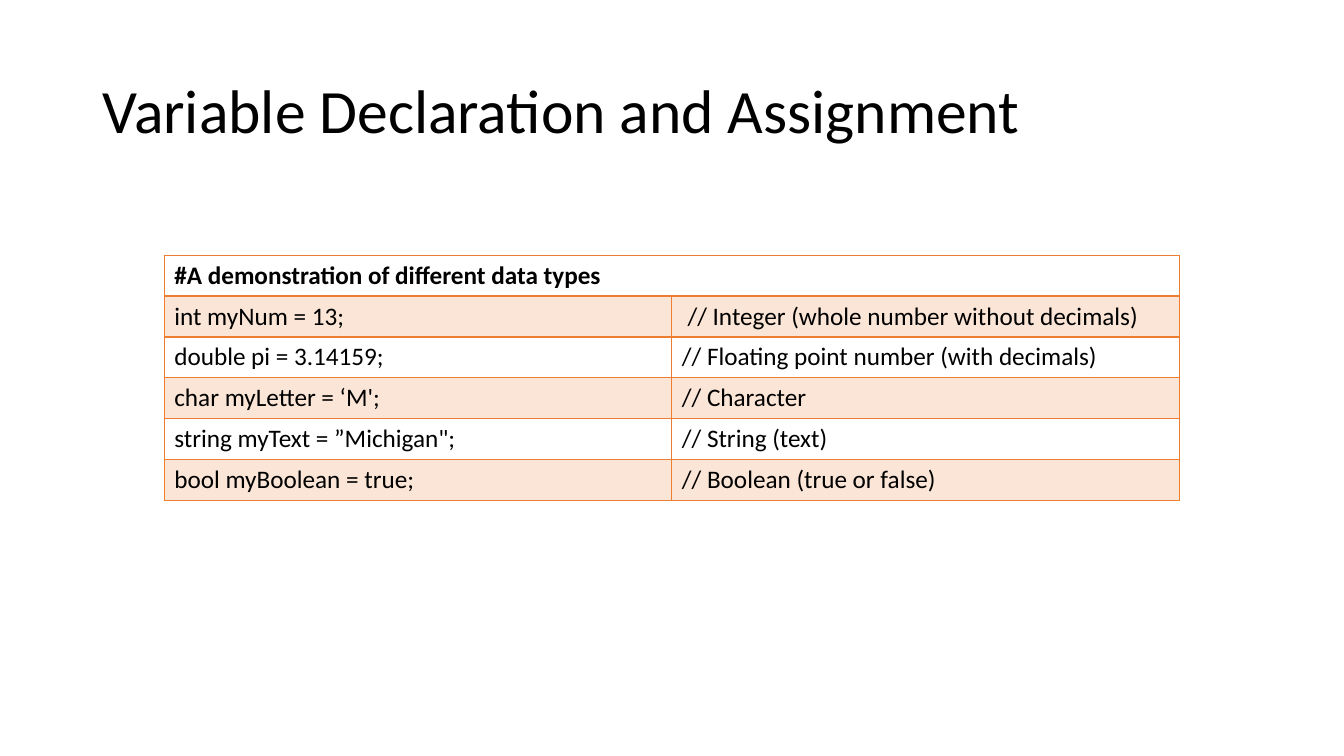
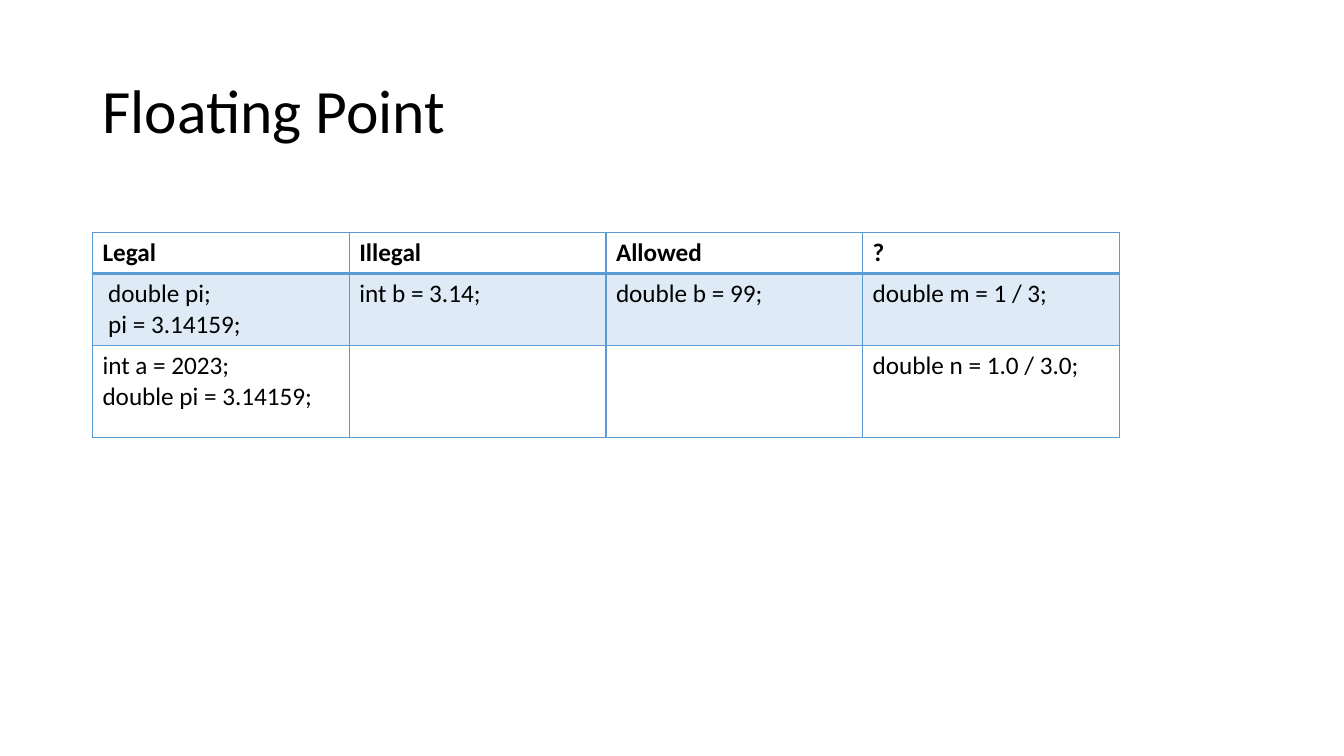
import dataclasses

import pptx
import pptx.dml.color
import pptx.enum.text
import pptx.oxml
import pptx.oxml.ns
import pptx.util

Cm = pptx.util.Cm
Pt = pptx.util.Pt

COLORS = {
    "text": "000000",
    "orange": "ED7D31",
    "orange_band": "FBE5D6",
    "blue": "5B9BD5",
    "blue_band": "DEEBF7",
}
TITLE_ONLY = 5
TITLE_BOX = {"left": Cm(2.33), "top": Cm(1.01), "width": Cm(29.21), "height": Cm(3.68)}
TITLE_FRAME = {
    "vertical_anchor": pptx.enum.text.MSO_ANCHOR.MIDDLE,
    "auto_size": pptx.enum.text.MSO_AUTO_SIZE.NONE,
    "word_wrap": True,
}
TITLE_PARAGRAPH = {"alignment": pptx.enum.text.PP_ALIGN.LEFT, "line_spacing": 0.9}
TITLE_FONT = {"name": "Calibri", "size": Pt(44), "bold": False}
CELL_FONT = {"name": "Calibri", "size": Pt(18)}


@dataclasses.dataclass
class CodeTable:
    title: str
    accent: str
    left: float
    top: float
    col_width: float
    row_heights: list[float]
    rows: list[list[str]]
    merge_header: bool = False


SLIDES = [
    CodeTable(
        "Variable Declaration and Assignment", "orange",
        4.14, 6.43, 12.79, [1.03] * 6,
        [
            ["#A demonstration of different data types", ""],
            ["int myNum = 13;", " // Integer (whole number without decimals)"],
            ["double pi = 3.14159;", "// Floating point number (with decimals)"],
            ["char myLetter = ‘M';", "// Character"],
            ["string myText = ”Michigan\";", "// String (text)"],
            ["bool myBoolean = true;", "// Boolean (true or false)"],
        ],
        merge_header=True,
    ),
    CodeTable(
        "Floating Point", "blue",
        2.33, 5.86, 6.47, [1.03, 1.82, 2.31],
        [
            ["Legal", "Illegal", "Allowed", "?"],
            [" double pi;\n pi = 3.14159;", "int b = 3.14;", "double b = 99;", "double m = 1 / 3;"],
            ["int a = 2023;\ndouble pi = 3.14159;", "", "", "double n = 1.0 / 3.0;"],
        ],
    ),
]


def rgb(name: str) -> pptx.dml.color.RGBColor:
    return pptx.dml.color.RGBColor.from_string(COLORS[name])


def apply(target: object, values: dict) -> None:
    for name, value in values.items():
        setattr(target, name, value)


def format_text(tf, font: dict) -> None:
    for p in tf.paragraphs:
        for r in p.runs:
            apply(r.font, font)
            r.font.color.rgb = rgb("text")


def set_borders(cell, color: str, widths: dict[str, int]) -> None:
    tc_pr = cell._tc.get_or_add_tcPr()
    for side, width in widths.items():
        tc_pr.append(pptx.oxml.parse_xml(
            f'<a:ln{side} {pptx.oxml.ns.nsdecls("a")} w="{Pt(width)}">'
            f'<a:solidFill><a:srgbClr val="{COLORS[color]}"/></a:solidFill>'
            f'</a:ln{side}>'
        ))


def add_title(s, text: str) -> None:
    sp = s.shapes.title
    apply(sp, TITLE_BOX)
    tf = sp.text_frame
    tf.text = text
    apply(tf, TITLE_FRAME)
    apply(tf.paragraphs[0], TITLE_PARAGRAPH)
    format_text(tf, TITLE_FONT)


def add_code_table(s, data: CodeTable) -> None:
    n_rows, n_cols = len(data.rows), len(data.rows[0])
    table = s.shapes.add_table(
        n_rows, n_cols, Cm(data.left), Cm(data.top),
        Cm(data.col_width * n_cols), Cm(sum(data.row_heights)),
    ).table
    table.horz_banding = False
    for col in table.columns:
        col.width = Cm(data.col_width)

    for i, (texts, height) in enumerate(zip(data.rows, data.row_heights)):
        table.rows[i].height = Cm(height)
        # The rule under the header is twice as thick as the others
        widths = {"L": 1, "R": 1, "T": 2 if i == 1 else 1, "B": 2 if i == 0 else 1}
        for j, text in enumerate(texts):
            cell = table.cell(i, j)
            set_borders(cell, data.accent, widths)
            # Every other row is tinted, starting below the header
            if i % 2:
                cell.fill.solid()
                cell.fill.fore_color.rgb = rgb(f"{data.accent}_band")
            else:
                cell.fill.background()
            cell.text = text
            format_text(cell.text_frame, {**CELL_FONT, "bold": i == 0})

    if data.merge_header:
        table.cell(0, 0).merge(table.cell(0, n_cols - 1))


def main() -> None:
    prs = pptx.Presentation()
    prs.slide_width, prs.slide_height = Cm(33.87), Cm(19.05)
    for data in SLIDES:
        s = prs.slides.add_slide(prs.slide_layouts[TITLE_ONLY])
        add_title(s, data.title)
        add_code_table(s, data)
    prs.save("out.pptx")


if __name__ == "__main__":
    main()
